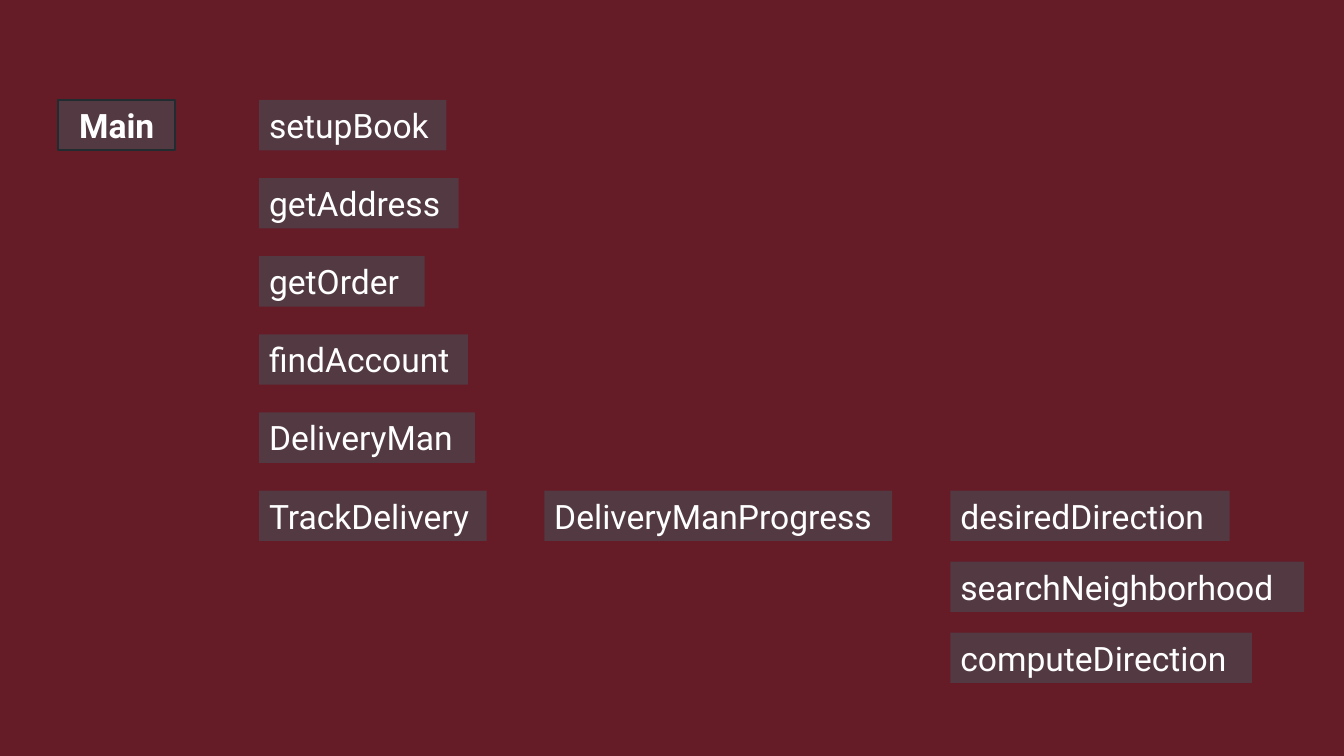
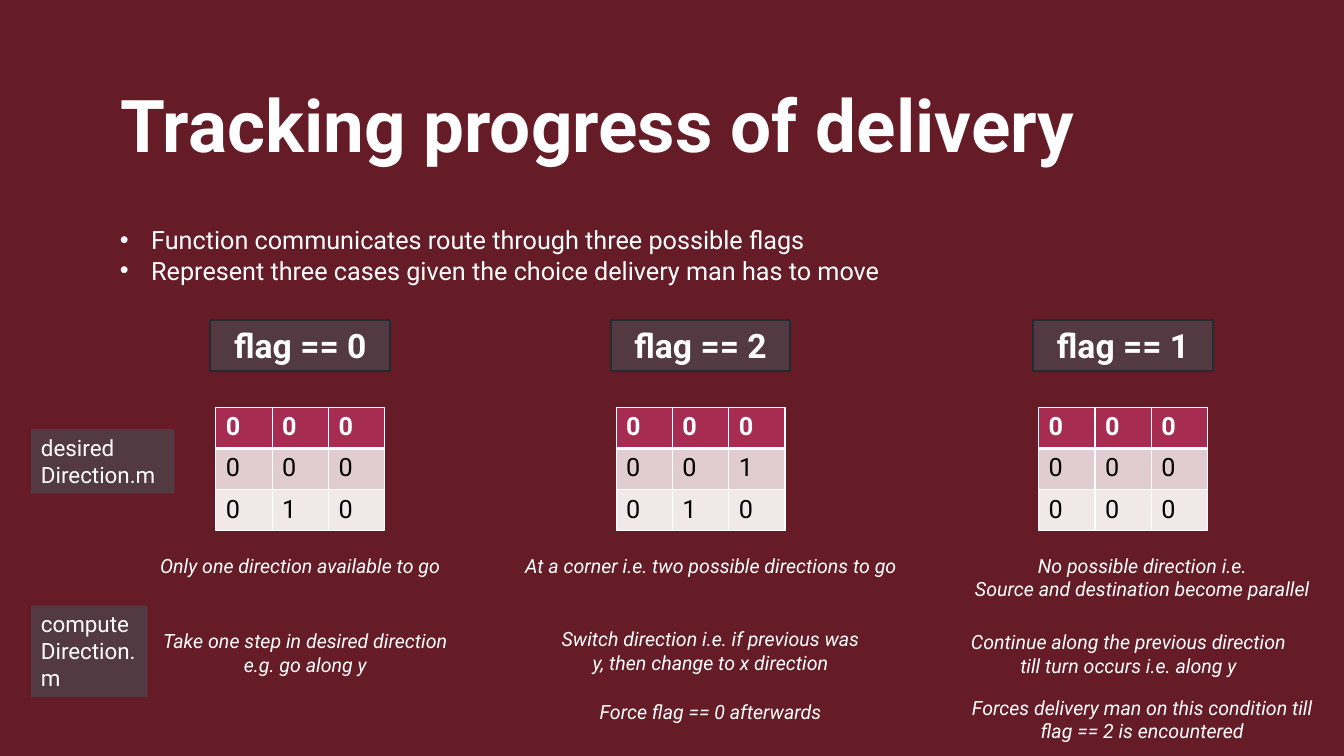
from pptx import Presentation
from pptx.dml.color import RGBColor
from pptx.enum.shapes import MSO_SHAPE as SHAPE
from pptx.enum.text import MSO_ANCHOR as ANCHOR, MSO_AUTO_SIZE as AUTO, PP_ALIGN as ALIGN
from pptx.oxml.ns import qn
from pptx.util import Inches, Pt
from lxml.etree import SubElement

CELL = Inches(7.5) / 18
WINE, SLATE, INK, WHITE, BLACK = "651C27", "41575D", "202C2F", "FFFFFF", "000000"
ROW_FILLS = ["A62C52", "E1CDD1", "F1E8E9"]
LEFT, CENTER = {"alignment": ALIGN.LEFT}, {"alignment": ALIGN.CENTER}


def rgb(color):
    return RGBColor.from_string(color)


def units(*lengths):
    return [round(n * CELL) for n in lengths]


def style(obj, values):
    for name, value in values.items():
        setattr(obj, name, value)


class Deck:
    """Holds the deck style and draws elements on a 32 by 18 grid."""

    def __init__(self):
        self.prs = Presentation()
        style(self.prs, {"slide_width": round(32 * CELL), "slide_height": round(18 * CELL)})
        bg = self.prs.slide_master.background.fill
        bg.solid()
        bg.fore_color.rgb = rgb(WINE)
        self.s = None

    def slide(self, title=None):
        self.s = self.prs.slides.add_slide(self.prs.slide_layouts[5 if title else 6])
        if title:
            sp = self.s.shapes.title
            style(sp, dict(zip(("left", "top", "width", "height"), units(2.62, 1.94, 26.74, 2.18))))
            self.text(sp.text_frame, title, 52, {"bold": True},
                      {**LEFT, "line_spacing": 0.9}, ANCHOR.BOTTOM)

    def text(self, tf, text, size, font=None, para=LEFT, anchor=ANCHOR.TOP, wrap=True, color=WHITE):
        style(tf, {"text": text, "word_wrap": wrap, "auto_size": AUTO.NONE, "vertical_anchor": anchor})
        for p in tf.paragraphs:
            style(p, para)
            for r in p.runs:
                style(r.font, {"name": "Roboto", "size": Pt(size), **(font or {})})
                r.font.color.rgb = rgb(color)

    def chip(self, x, y, w, text, h=1.2, size=24, framed=False):
        sp = self.s.shapes.add_shape(SHAPE.RECTANGLE, *units(x, y, w, h))
        sp.shadow.inherit = False
        sp.fill.solid()
        sp.fill.fore_color.rgb = rgb(SLATE)
        SubElement(sp.element.spPr.find(".//" + qn("a:srgbClr")), qn("a:alpha"), val="50000")
        if framed:
            sp.line.color.rgb = rgb(INK)
            sp.line.width = Pt(1.5)
        else:
            sp.line.fill.background()
        self.text(sp.text_frame, text, size, {"bold": framed}, CENTER if framed else LEFT)

    def bullets(self, x, y, w, h, lines):
        tf = self.s.shapes.add_textbox(*units(x, y, w, h)).text_frame
        self.text(tf, "\n".join(lines), 18)
        for p in tf.paragraphs:
            pPr = p._p.get_or_add_pPr()
            indent = Inches(0.31)
            pPr.set("marL", str(indent))
            pPr.set("indent", str(-indent))
            SubElement(pPr, qn("a:buFont"), typeface="Arial")
            SubElement(pPr, qn("a:buChar"), char="•")

    def note(self, center, y, w, *lines):
        h = 0.27 + 0.55 * len(lines)
        tf = self.s.shapes.add_textbox(*units(center - w / 2, y, w, h)).text_frame
        self.text(tf, "\v".join(lines), 14, {"italic": True}, CENTER, wrap=False)

    def table(self, center, y, rows, col_w=1.34, row_h=0.98):
        n = len(rows[0])
        box = units(center - n * col_w / 2, y, n * col_w, len(rows) * row_h)
        tbl = self.s.shapes.add_table(len(rows), n, *box).table
        for i, row in enumerate(rows):
            for j, value in enumerate(row):
                cell = tbl.cell(i, j)
                self.text(cell.text_frame, value, 18, {"bold": i == 0},
                          color=BLACK if i else WHITE)
                self.borders(cell, {"L": 1, "R": 1, "T": 3 if i == 1 else 1, "B": 1 if i else 3})
                cell.fill.solid()
                cell.fill.fore_color.rgb = rgb(ROW_FILLS[i])

    def borders(self, cell, widths):
        tcPr = cell._tc.get_or_add_tcPr()
        for side, width in widths.items():
            ln = SubElement(tcPr, qn("a:ln" + side), w=str(Pt(width)))
            SubElement(SubElement(ln, qn("a:solidFill")), qn("a:srgbClr"), val=WHITE)


def call_tree(deck):
    deck.slide()
    top, step, last = 2.38, 1.86, 11.68
    deck.chip(1.39, top, 2.78, "Main", framed=True)
    steps = [("setupBook", 4.46), ("getAddress", 4.75), ("getOrder", 3.94),
             ("findAccount", 4.97), ("DeliveryMan", 5.14), ("TrackDelivery", 5.42)]
    for i, (name, w) in enumerate(steps):
        deck.chip(6.17, top + i * step, w, name)
    deck.chip(12.96, last, 8.28, "DeliveryManProgress")
    helpers = [("desiredDirection", 6.65), ("searchNeighborhood", 8.42), ("computeDirection", 7.18)]
    for i, (name, w) in enumerate(helpers):
        deck.chip(22.63, last + i * 1.69, w, name)


def tracking(deck):
    deck.slide("Tracking progress of delivery")
    deck.bullets(2.62, 5.23, 18.94, 1.7, [
        "Function communicates route through three possible flags",
        "Represent three cases given the choice delivery man has to move"])
    deck.chip(0.74, 10.22, 3.41, "desired Direction.m", 1.53, 16)
    deck.chip(0.74, 14.42, 2.78, "compute\vDirection.m", 2.18, 16)
    cases = [
        (7.15, "flag == 0", ["000", "000", "010"], [
            (7.15, 13.08, 7.44, "Only one direction available to go"),
            (7.27, 14.86, 7.49, "Take one step in desired direction", "e.g. go along y")]),
        (16.68, "flag == 2", ["000", "001", "010"], [
            (16.93, 13.08, 9.58, "At a corner i.e. two possible directions to go"),
            (16.92, 14.81, 7.78, "Switch direction i.e. if previous was", "y, then change to x direction"),
            (16.92, 16.54, 5.95, "Force flag == 0 afterwards")]),
        (26.74, "flag == 1", ["000", "000", "000"], [
            (27.2, 13.06, 8.74, "No possible direction i.e.", "Source and destination become parallel"),
            (26.87, 14.88, 8.38, "Continue along the previous direction", "till turn occurs i.e. along y"),
            (27.2, 16.44, 8.81, "Forces delivery man on this condition till", "flag == 2 is encountered")]),
    ]
    for center, flag, rows, notes in cases:
        deck.chip(center - 2.14, 7.63, 4.28, flag, framed=True)
        deck.table(center, 9.7, rows)
        for note in notes:
            deck.note(*note)


def main():
    deck = Deck()
    call_tree(deck)
    tracking(deck)
    deck.prs.save("out.pptx")


if __name__ == "__main__":
    main()
